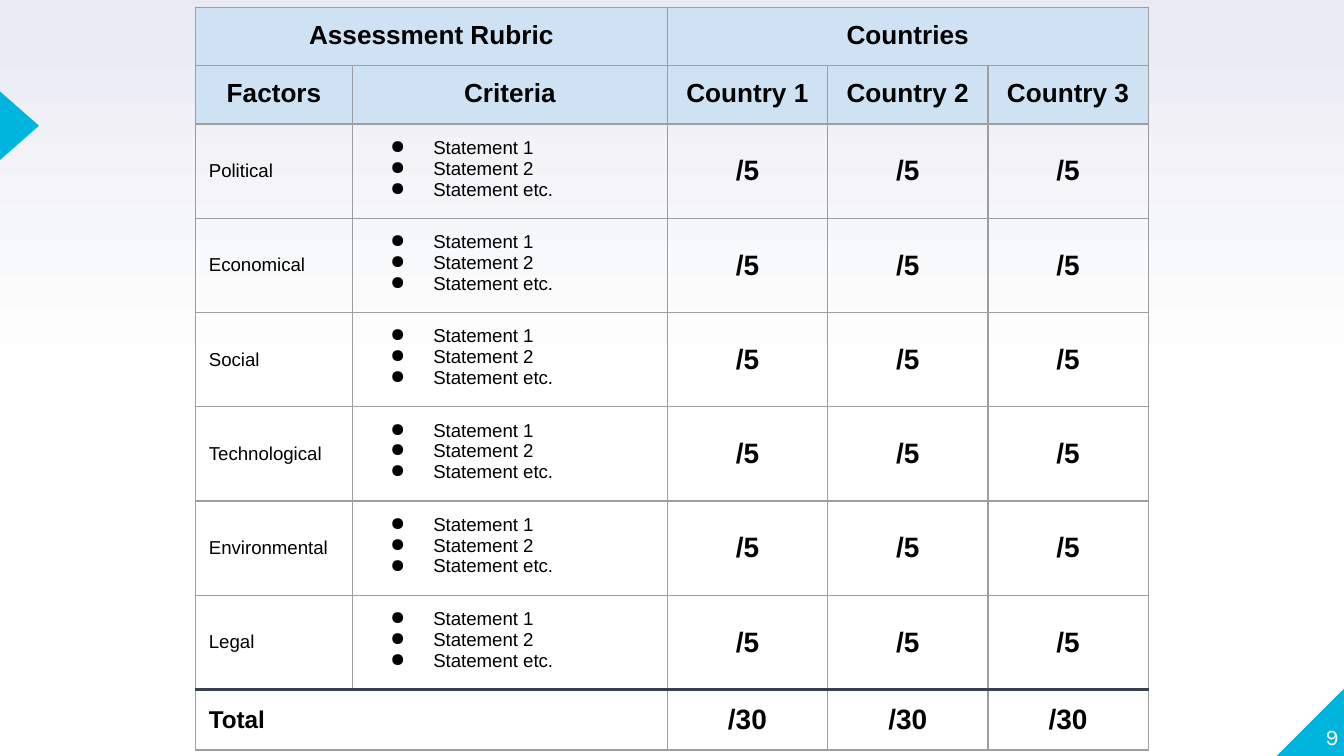
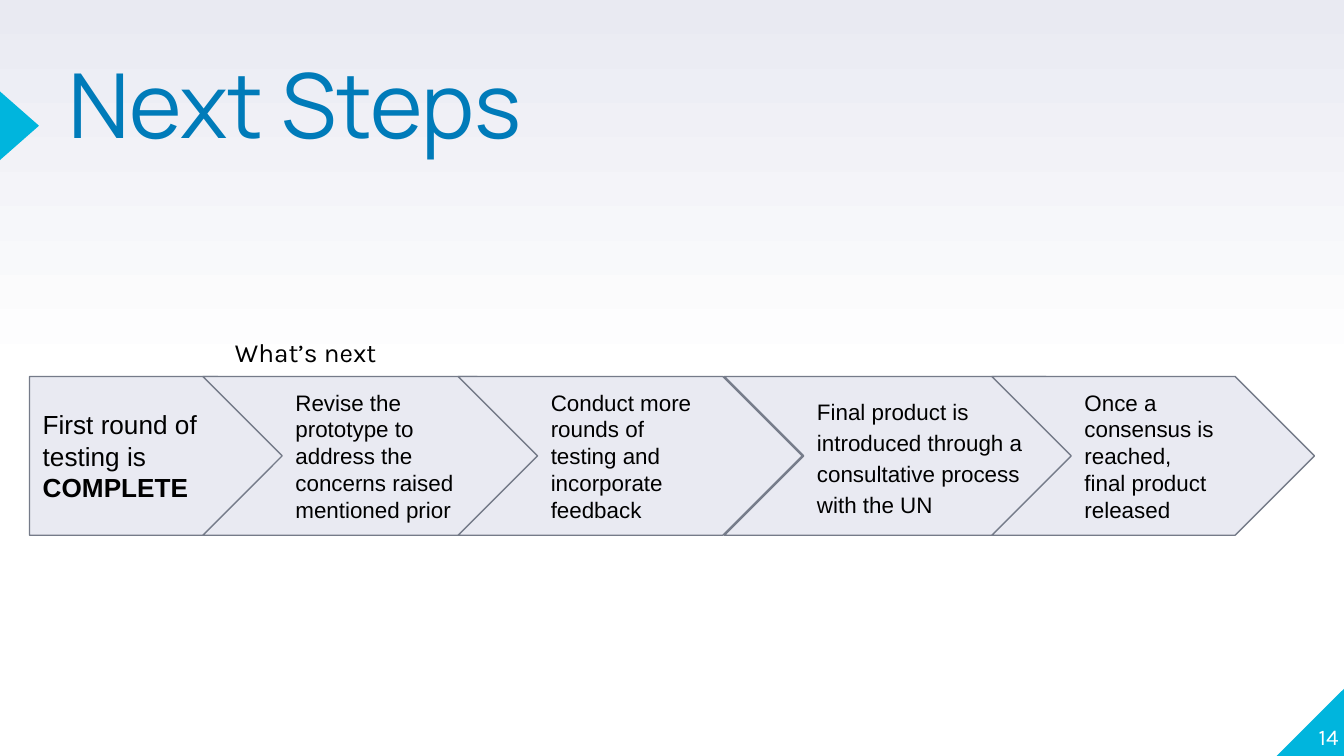
import copy
import pptx
import pptx.dml.color
import pptx.enum.shapes
import pptx.enum.text
import pptx.oxml
import pptx.oxml.ns
import pptx.util

Pt = pptx.util.Pt
SHAPE = pptx.enum.shapes.MSO_SHAPE
ALIGN = pptx.enum.text.PP_ALIGN
ANCHOR = pptx.enum.text.MSO_ANCHOR

# Content
COLORS = {
    "white": "FFFFFF", "mist": "E9EAF2", "cyan": "00B5DD", "blue": "007BB9",
    "black": "000000", "header": "CFE2F3", "grid": "9E9E9E",
    "rule": "3A3F50", "outline": "757B89",
}
COUNTRIES = ["Country 1", "Country 2", "Country 3"]
FACTORS = ["Political", "Economical", "Social", "Technological", "Environmental", "Legal"]
STATEMENTS = ["Statement 1", "Statement 2", "Statement etc."]
FACTOR_SCORE, TOTAL_SCORE = "/5", "/30"

# Each step: left, width, font size, line spacing, paragraphs of (text, bold) runs
STEPS = [
    (15.8, 143.3, 14, None, [[("First round of testing is ", False), ("COMPLETE", True)]]),
    (108.7, 189.4, 12, None,
     [[("Revise the prototype to address the concerns raised mentioned prior", False)]]),
    (245.5, 184.3, 12, None,
     [[("Conduct more rounds of testing and incorporate feedback", False)]]),
    (388.1, 214.6, 12, 1.15,
     [[("Final product is introduced through a consultative process with the UN", False)]]),
    (531.4, 172.8, 12, None,
     [[("Once a consensus is reached,", False)], [("final product released", False)]]),
]
STEP_TOP, STEP_HEIGHT = 201.7, 85
PADDING = 7.2
COLUMN_WIDTHS = [84.2, 168.6] + [85.9] * len(COUNTRIES)
ROW_HEIGHTS = [29.9, 29.9] + [47.9] * len(FACTORS) + [30.7]


def rgb(name):
    return pptx.dml.color.RGBColor.from_string(COLORS[name])


def set_font(font, size, name="Arial", color="black", bold=False):
    font.size = Pt(size)
    font.name = name
    font.bold = bold
    font.color.rgb = rgb(color)


def set_margins(target, margin):
    for side in ("left", "top", "right", "bottom"):
        setattr(target, f"margin_{side}", Pt(margin))


def add_text(slide, box, text, size, name, color, margin=0):
    frame = slide.shapes.add_textbox(*map(Pt, box)).text_frame
    frame.word_wrap = True
    set_margins(frame, margin)
    paragraph = frame.paragraphs[0]
    paragraph.text = text
    set_font(paragraph.font, size, name, color)
    return frame


def add_shape(slide, kind, box, fill, line=None):
    shape = slide.shapes.add_shape(kind, *map(Pt, box))
    shape.shadow.inherit = False
    shape.fill.solid()
    shape.fill.fore_color.rgb = rgb(fill)
    if line:
        shape.line.color.rgb = rgb(line)
        shape.line.width = Pt(0.75)
    else:
        shape.line.fill.background()
    return shape


# Shared background, corner, marker and slide number
def add_base_slide(presentation, number):
    slide = presentation.slides.add_slide(presentation.slide_layouts[6])
    fill = slide.background.fill
    fill.gradient()
    fill.gradient_angle = 90
    first = fill.gradient_stops[0]._gs
    first.addnext(copy.deepcopy(first))
    for stop, (position, color) in zip(
            fill.gradient_stops, [(0, "white"), (0.5, "white"), (1, "mist")]):
        stop.position = position
        stop.color.rgb = rgb(color)

    corner = add_shape(slide, SHAPE.RIGHT_TRIANGLE, (684, 368.3, 36.7, 36.7), "cyan")
    corner._element.spPr.xfrm.set("flipH", "1")
    marker = add_shape(slide, SHAPE.ISOSCELES_TRIANGLE, (-7.9, 56.9, 36.7, 20.9), "cyan")
    marker.rotation = 90
    frame = add_text(slide, (681.1, 365, 36, 36.7), str(number), 12, "Karla", "white")
    frame.vertical_anchor = ANCHOR.BOTTOM
    frame.paragraphs[0].alignment = ALIGN.RIGHT
    return slide


# Table helpers
def set_border(cell, side, color, width):
    cell._tc.get_or_add_tcPr().append(pptx.oxml.parse_xml(
        f'<a:ln{side} {pptx.oxml.ns.nsdecls("a")} w="{Pt(width)}"><a:solidFill>'
        f'<a:srgbClr val="{COLORS[color]}"/></a:solidFill></a:ln{side}>'))


def add_bullet(paragraph):
    properties = paragraph._p.get_or_add_pPr()
    properties.set("marL", str(Pt(36)))
    properties.set("indent", str(Pt(-23)))
    namespace = pptx.oxml.ns.nsdecls("a")
    for element in (
            f'<a:buClr {namespace}><a:srgbClr val="{COLORS["black"]}"/></a:buClr>',
            f'<a:buChar {namespace} char="●"/>'):
        properties.append(pptx.oxml.parse_xml(element))


def fill_cell(cell, lines, size, bold=False, align=ALIGN.LEFT, anchor=ANCHOR.MIDDLE):
    cell.vertical_anchor = anchor
    cell.text = "\n".join(lines)
    for paragraph in cell.text_frame.paragraphs:
        paragraph.alignment = align
        if len(lines) > 1:
            add_bullet(paragraph)
        set_font(paragraph.font, size, bold=bold)


def add_rubric(slide):
    table = slide.shapes.add_table(
        len(ROW_HEIGHTS), len(COLUMN_WIDTHS), Pt(104.7), Pt(4),
        Pt(sum(COLUMN_WIDTHS)), Pt(sum(ROW_HEIGHTS))).table
    table.first_row = table.horz_banding = False
    for column, width in zip(table.columns, COLUMN_WIDTHS):
        column.width = Pt(width)
    for row, height in zip(table.rows, ROW_HEIGHTS):
        row.height = Pt(height)

    # Borders and fills, with a heavy rule above the total
    last = len(ROW_HEIGHTS) - 1
    for row_index, row in enumerate(table.rows):
        heavy_side = {last - 1: "B", last: "T"}.get(row_index)
        for cell in row.cells:
            set_margins(cell, PADDING)
            for side in "LRTB":
                style = ("rule", 2.25) if side == heavy_side else ("grid", 0.75)
                set_border(cell, side, *style)
            if row_index < 2:
                cell.fill.solid()
                cell.fill.fore_color.rgb = rgb("header")
            else:
                cell.fill.background()

    for row_index, start, end in [(0, 0, 1), (0, 2, 4), (last, 0, 1)]:
        table.cell(row_index, start).merge(table.cell(row_index, end))

    # Header rows
    headers = [(0, 0, "Assessment Rubric"), (0, 2, "Countries")]
    headers += [(1, index, text) for index, text in enumerate(["Factors", "Criteria"] + COUNTRIES)]
    for row_index, column_index, text in headers:
        fill_cell(table.cell(row_index, column_index), [text], 14, True, ALIGN.CENTER, ANCHOR.TOP)

    # Factors, criteria and scores
    for row_index, factor in enumerate(FACTORS, 2):
        fill_cell(table.cell(row_index, 0), [factor], 10)
        fill_cell(table.cell(row_index, 1), STATEMENTS, 10, anchor=ANCHOR.TOP)
    fill_cell(table.cell(last, 0), ["Total"], 13, True)
    for row_index in range(2, last + 1):
        score = TOTAL_SCORE if row_index == last else FACTOR_SCORE
        for column_index in range(2, len(COLUMN_WIDTHS)):
            fill_cell(table.cell(row_index, column_index), [score], 15, True, ALIGN.CENTER)


def add_step(slide, kind, left, width, size, spacing, paragraphs):
    shape = add_shape(slide, kind, (left, STEP_TOP, width, STEP_HEIGHT), "mist", "outline")
    frame = shape.text_frame
    frame.word_wrap = True
    frame.vertical_anchor = ANCHOR.MIDDLE
    set_margins(frame, PADDING)
    for index, runs in enumerate(paragraphs):
        paragraph = frame.add_paragraph() if index else frame.paragraphs[0]
        paragraph.alignment = ALIGN.LEFT
        if spacing:
            paragraph.line_spacing = spacing
        for text, bold in runs:
            run = paragraph.add_run()
            run.text = text
            set_font(run.font, size, bold=bold)


def main():
    presentation = pptx.Presentation()
    presentation.slide_width, presentation.slide_height = Pt(720), Pt(405)

    # Rubric slide
    add_rubric(add_base_slide(presentation, 9))

    # Next steps slide
    slide = add_base_slide(presentation, 14)
    title = add_text(slide, (36.7, 37.4, 444.2, 85), "Next Steps", 48, "Manrope", "blue")
    title.paragraphs[0].line_spacing = 0.8
    for index, step in enumerate(STEPS):
        add_step(slide, SHAPE.CHEVRON if index else SHAPE.PENTAGON, *step)
    label = add_text(slide, (118.8, 172.8, 110.9, 31.7), "What’s next", 14, "Karla", "black", PADDING)
    label.auto_size = pptx.enum.text.MSO_AUTO_SIZE.SHAPE_TO_FIT_TEXT

    presentation.save("out.pptx")


if __name__ == "__main__":
    main()
